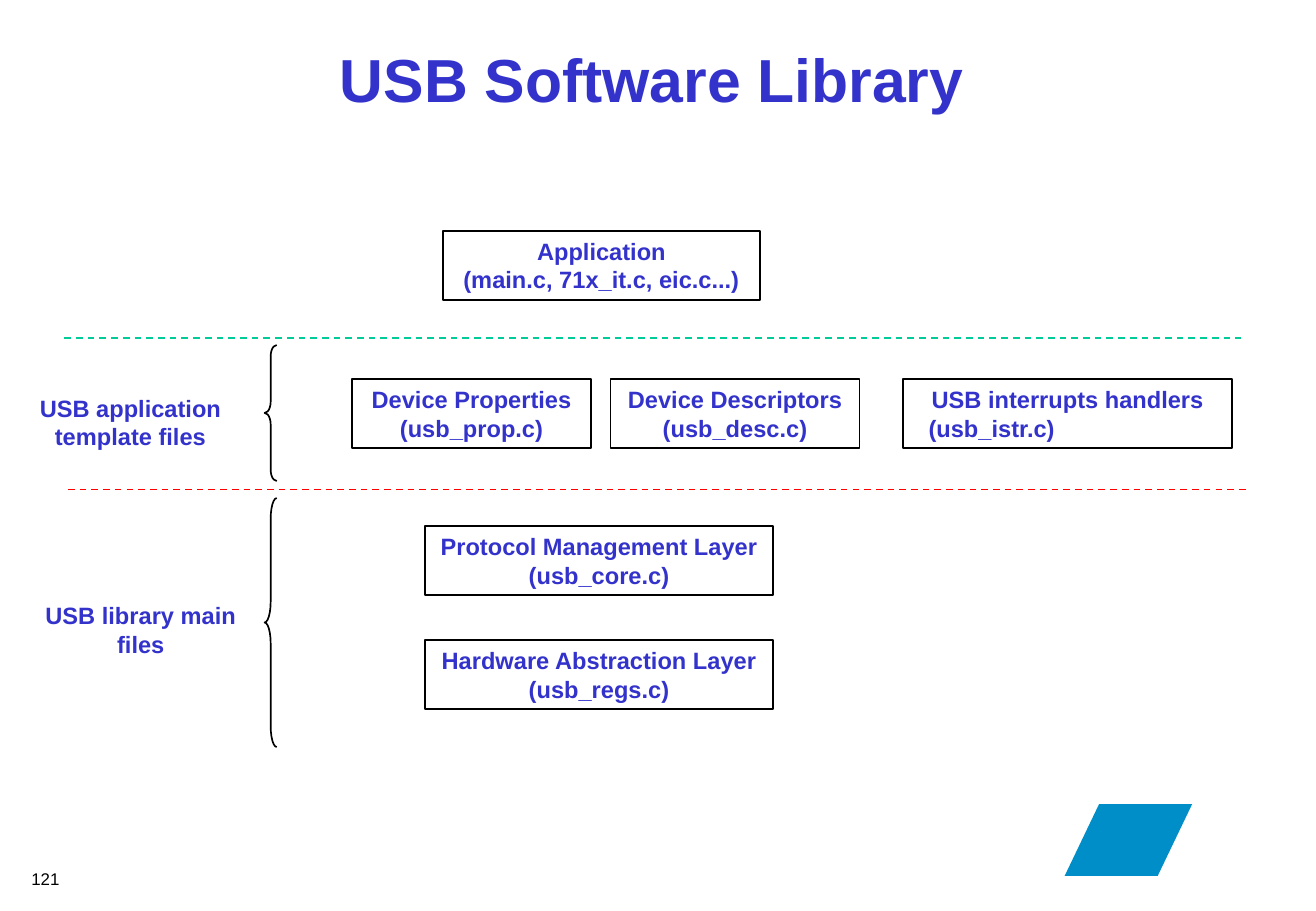
import dataclasses

import pptx
import pptx.dml.color
import pptx.enum.dml
import pptx.enum.shapes
import pptx.enum.text
import pptx.oxml
import pptx.oxml.ns
import pptx.util

Inches = pptx.util.Inches
SHAPE = pptx.enum.shapes.MSO_SHAPE
ALIGN = pptx.enum.text.PP_ALIGN
ANCHOR = pptx.enum.text.MSO_ANCHOR
qn = pptx.oxml.ns.qn

BLUE, BLACK, WHITE = "3333CC", "000000", "FFFFFF"
BODY = {"name": "Arial", "size": pptx.util.Pt(14), "bold": True}
HEAD = BODY | {"size": pptx.util.Pt(36)}
SMALL = BODY | {"size": pptx.util.Pt(10), "bold": False}
SHADE = (
    f'<a:effectLst {pptx.oxml.ns.nsdecls("a")}>'
    '<a:outerShdw dist="35921" dir="2700000" algn="ctr">'
    '<a:srgbClr val="C0C0C0"/></a:outerShdw></a:effectLst>'
)


@dataclasses.dataclass(frozen=True)
class Block:
    left: float
    top: float
    width: float
    lines: tuple[str, ...]
    height: float = 0.57


@dataclasses.dataclass(frozen=True)
class Border:
    start: float
    end: float
    y: float
    color: str


@dataclasses.dataclass(frozen=True)
class Brace:
    top: float
    height: float
    curve: float


ROW = 3.12
BOXES = (
    Block(3.65, 1.9, 2.61, ("Application", "(main.c, 71x_it.c, eic.c...)")),
    Block(2.9, ROW, 1.97, ("Device Properties (usb_prop.c)",)),
    Block(5.03, ROW, 2.05, ("Device Descriptors", "(usb_desc.c)")),
    Block(3.5, 4.33, 2.87, ("Protocol Management Layer (usb_core.c)",)),
    Block(3.5, 5.27, 2.87, ("Hardware Abstraction Layer", "(usb_regs.c)")),
)
IRQ = Block(7.44, ROW, 2.71, ("USB interrupts handlers", "(usb_istr.c)"))
LABELS = (
    Block(0.04, 3.19, 2.07, ("USB application template files",)),
    Block(0.21, 4.9, 1.9, ("USB library main files",)),
)
PAGE = Block(0.16, 7.1, 0.52, ("121",), 0.27)
BORDERS = (Border(0.53, 10.22, 2.78, "00CC99"), Border(0.56, 10.3, 4.03, "FF0000"))
BRACES = (Brace(2.84, 1.12, 0.93), Brace(4.1, 2.05, 1.71))


def rgb(color: str) -> pptx.dml.color.RGBColor:
    return pptx.dml.color.RGBColor.from_string(color)


def place(block: Block) -> tuple[int, ...]:
    return tuple(map(Inches, (block.left, block.top, block.width, block.height)))


def write(frame, lines: tuple[str, ...], style: dict, color: str, align) -> None:
    """Fill a text frame with one formatted paragraph per line."""
    frame.word_wrap = True
    frame.text = "\n".join(lines)
    for para in frame.paragraphs:
        para.alignment = align
        font = para.runs[0].font
        for name, value in style.items():
            setattr(font, name, value)
        font.color.rgb = rgb(color)


def add_title(slide, text: str) -> None:
    title = slide.shapes.title
    title.left, title.top, title.width, title.height = map(Inches, (0.72, 0.1, 9.3, 1.08))
    frame = title.text_frame
    frame.auto_size = pptx.enum.text.MSO_AUTO_SIZE.NONE
    frame.vertical_anchor = ANCHOR.MIDDLE
    write(frame, (text,), HEAD, BLUE, ALIGN.CENTER)
    props = frame.paragraphs[0].runs[0].font._element
    props.find(qn("a:solidFill")).addnext(pptx.oxml.parse_xml(SHADE))


def add_box(slide, block: Block):
    box = slide.shapes.add_shape(SHAPE.RECTANGLE, *place(block))
    box.shadow.inherit = False
    box.fill.solid()
    box.fill.fore_color.rgb = rgb(WHITE)
    tint = box._element.spPr.find(qn("a:solidFill"))[0]
    tint.append(tint.makeelement(qn("a:alpha"), {"val": "50000"}))
    box.line.color.rgb = rgb(BLACK)
    box.line.width = pptx.util.Pt(1)
    box.text_frame.vertical_anchor = ANCHOR.MIDDLE
    write(box.text_frame, block.lines, BODY, BLUE, ALIGN.CENTER)
    return box


def add_text(slide, block: Block, style: dict, color: str, align) -> None:
    box = slide.shapes.add_textbox(*place(block))
    write(box.text_frame, block.lines, style, color, align)


def add_border(slide, border: Border) -> None:
    y = Inches(border.y)
    line = slide.shapes.add_connector(
        pptx.enum.shapes.MSO_CONNECTOR.STRAIGHT,
        Inches(border.start), y, Inches(border.end), y,
    )
    line.line.color.rgb = rgb(border.color)
    line.line.width = pptx.util.Pt(1)
    line.line.dash_style = pptx.enum.dml.MSO_LINE.DASH
    props = line._element.spPr
    props.append(props.makeelement(qn("a:effectLst"), {}))


def add_brace(slide, brace: Brace) -> None:
    shape = slide.shapes.add_shape(
        SHAPE.LEFT_BRACE,
        *map(Inches, (2.18, brace.top, 0.1, brace.height)),
    )
    shape.shadow.inherit = False
    shape.adjustments[0] = brace.curve
    shape.fill.background()
    shape.line.color.rgb = rgb(BLACK)
    shape.line.width = pptx.util.Pt(1)


def add_badge(slide) -> None:
    badge = slide.shapes.add_shape(
        SHAPE.PARALLELOGRAM, *map(Inches, (8.77, 6.62, 1.05, 0.59))
    )
    badge.shadow.inherit = False
    badge.adjustments[0] = 0.48
    badge.fill.solid()
    badge.fill.fore_color.rgb = rgb("008EC9")
    badge.line.fill.background()


def main() -> None:
    deck = pptx.Presentation()
    deck.slide_width, deck.slide_height = Inches(10.84), Inches(7.5)
    slide = deck.slides.add_slide(deck.slide_layouts.get_by_name("Title Only"))
    add_badge(slide)
    add_title(slide, "USB Software Library")
    for block in BOXES:
        add_box(slide, block)
    file = add_box(slide, IRQ).text_frame.paragraphs[1]
    file.alignment = ALIGN.LEFT
    file._p.get_or_add_pPr().set("marL", str(Inches(0.11)))
    for block in LABELS:
        add_text(slide, block, BODY, BLUE, ALIGN.CENTER)
    for border in BORDERS:
        add_border(slide, border)
    for brace in BRACES:
        add_brace(slide, brace)
    add_text(slide, PAGE, SMALL, BLACK, ALIGN.LEFT)
    deck.save("out.pptx")


if __name__ == "__main__":
    main()
